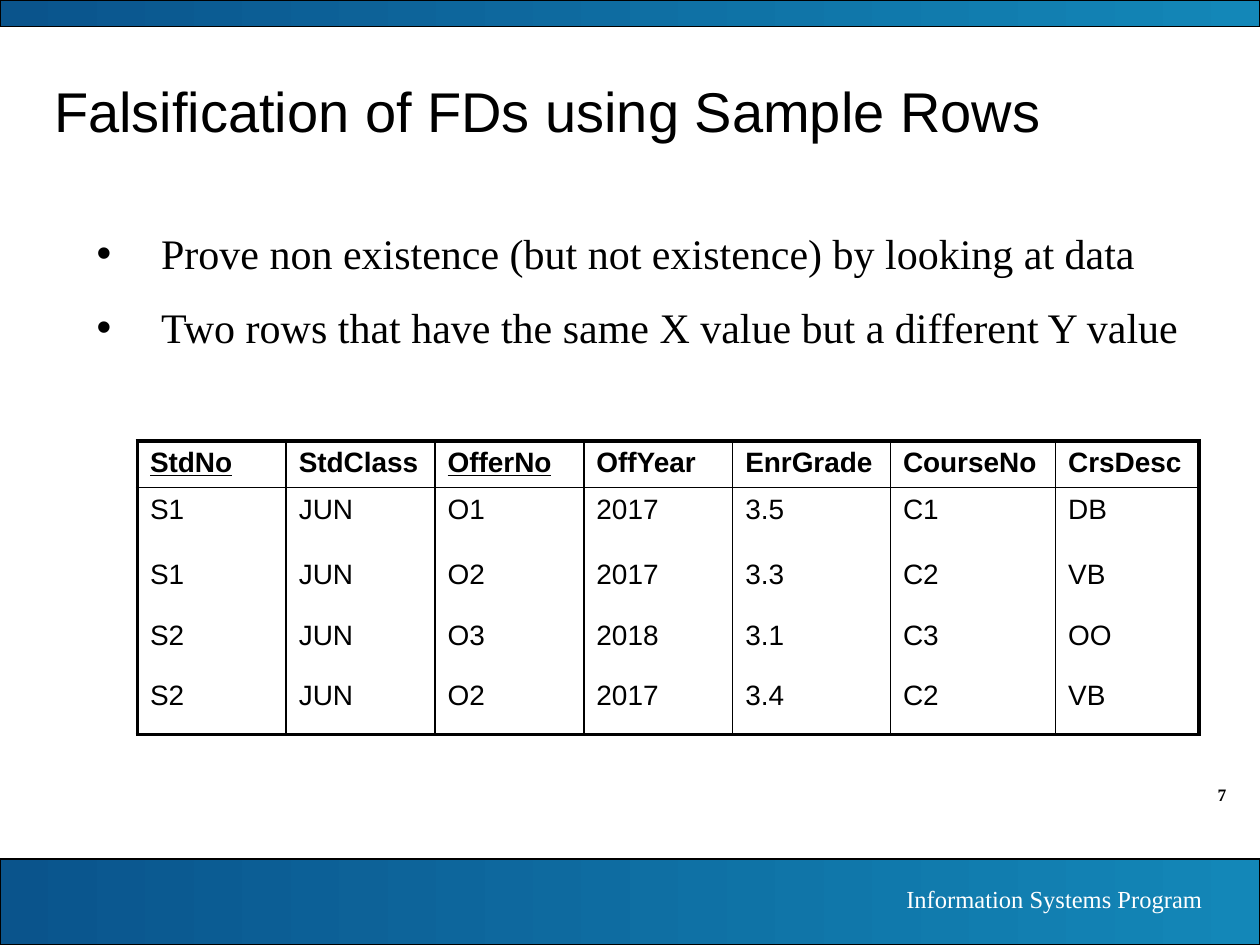
from dataclasses import dataclass

from lxml import etree
from pptx import Presentation
from pptx import util as u
from pptx.dml.color import RGBColor
from pptx.enum import shapes, text
from pptx.oxml.ns import qn

COLOURS = {"ink": "000000", "paper": "FFFFFF", "deep": "0A548C", "bright": "1387B8"}
SERIF, SANS = "Times New Roman", "Arial"
THICK, THIN = 2.25, 1


@dataclass
class Area:
    left: float
    top: float
    width: float
    height: float

    def lengths(self) -> list:
        return [u.Cm(value) for value in (self.left, self.top, self.width, self.height)]


@dataclass
class Style:
    name: str
    size: float
    colour: str = "ink"
    bold: bool = False
    underline: bool = False


@dataclass
class Label:
    area: Area
    lines: list
    style: Style
    align: text.PP_ALIGN = text.PP_ALIGN.LEFT
    bulleted: bool = False


BANDS = [Area(0, 17.32, 25.4, 1.73), Area(0, 0, 25.4, 0.53)]
LABELS = [
    Label(Area(22.86, 15.67, 2.11, 0.69), ["7"], Style(SERIF, 10, bold=True), text.PP_ALIGN.RIGHT),
    Label(Area(14.1, 17.68, 10.39, 0.86), ["Information Systems Program"],
          Style(SERIF, 14, "paper"), text.PP_ALIGN.RIGHT),
    Label(Area(0.84, 1.27, 22.02, 1.9), ["Falsification of FDs using Sample Rows"], Style(SANS, 32)),
    Label(Area(1.7, 4.45, 22.86, 2.79),
          ["Prove non existence (but not existence) by looking at data",
           "Two rows that have the same X value but a different Y value"],
          Style(SERIF, 24), bulleted=True),
]

TABLE_AREA = Area(2.77, 8.89, 21.4, 5.92)
COLUMN_WIDTHS = [3, 3, 3, 3, 3.18, 3.33, 2.89]
ROW_HEIGHTS = [0.94, 1.32, 1.22, 1.22, 1.22]
KEY_COLUMNS = {"StdNo", "OfferNo"}
ROWS = [
    ["StdNo", "StdClass", "OfferNo", "OffYear", "EnrGrade", "CourseNo", "CrsDesc"],
    ["S1", "JUN", "O1", "2017", "3.5", "C1", "DB"],
    ["S1", "JUN", "O2", "2017", "3.3", "C2", "VB"],
    ["S2", "JUN", "O3", "2018", "3.1", "C3", "OO"],
    ["S2", "JUN", "O2", "2017", "3.4", "C2", "VB"],
]


def colour(name: str) -> RGBColor:
    return RGBColor.from_string(COLOURS[name])


def apply(target, values: dict) -> None:
    for name, value in values.items():
        setattr(target, name, value)


def write(para, content: str, style: Style) -> None:
    span = para.add_run()
    span.text = content
    apply(span.font, {"name": style.name, "size": u.Pt(style.size),
                      "bold": style.bold, "underline": style.underline})
    span.font.color.rgb = colour(style.colour)


def add_bullet(para) -> None:
    properties = para._p.get_or_add_pPr()
    indent = u.Cm(1.3)
    properties.set("marL", str(indent))
    properties.set("indent", str(-indent))
    etree.SubElement(properties, qn("a:buFont"), typeface=SANS)
    etree.SubElement(properties, qn("a:buChar"), char="•")


def draw_band(page, area: Area) -> None:
    band = page.shapes.add_shape(shapes.MSO_SHAPE.RECTANGLE, *area.lengths())
    band.shadow.inherit = False
    band.fill.gradient()
    band.fill.gradient_angle = 0
    for stop, name, position in zip(band.fill.gradient_stops, ("deep", "bright"), (0, 1)):
        stop.color.rgb = colour(name)
        stop.position = position
    band.line.color.rgb = colour("ink")
    band.line.width = u.Pt(0.75)


def draw_label(page, label: Label) -> None:
    frame = page.shapes.add_textbox(*label.area.lengths()).text_frame
    apply(frame, {"word_wrap": True, "vertical_anchor": text.MSO_ANCHOR.MIDDLE})
    for index, line in enumerate(label.lines):
        para = frame.add_paragraph() if index else frame.paragraphs[0]
        apply(para, {"alignment": label.align,
                     "space_before": u.Pt(label.style.size * 0.56 if index else 0)})
        if label.bulleted:
            add_bullet(para)
        write(para, line, label.style)


def set_border(cell, side: str, width: float) -> None:
    edge = etree.SubElement(cell._tc.get_or_add_tcPr(), qn(f"a:ln{side}"), w=str(u.Pt(width)))
    if width:
        fill = etree.SubElement(edge, qn("a:solidFill"))
        etree.SubElement(fill, qn("a:srgbClr"), val=COLOURS["ink"])
    else:
        etree.SubElement(edge, qn("a:noFill"))


def draw_table(page) -> None:
    last_row, last_column = len(ROWS) - 1, len(COLUMN_WIDTHS) - 1
    table = page.shapes.add_table(len(ROWS), len(COLUMN_WIDTHS), *TABLE_AREA.lengths()).table
    apply(table, {"first_row": False, "horz_banding": False})
    for column, width in zip(table.columns, COLUMN_WIDTHS):
        column.width = u.Cm(width)
    for row, height in zip(table.rows, ROW_HEIGHTS):
        row.height = u.Cm(height)
    for r, values in enumerate(ROWS):
        for c, value in enumerate(values):
            cell = table.cell(r, c)
            borders = {
                "L": THICK if c == 0 else THIN,
                "R": THICK if c == last_column else THIN,
                "T": {0: THICK, 1: THIN}.get(r, 0),
                "B": {0: THIN, last_row: THICK}.get(r, 0),
            }
            for side, width in borders.items():
                set_border(cell, side, width)
            cell.fill.background()
            style = Style(SANS, 16, bold=r == 0, underline=value in KEY_COLUMNS)
            write(cell.text_frame.paragraphs[0], value, style)


def main() -> None:
    deck = Presentation()
    apply(deck, {"slide_width": u.Cm(25.4), "slide_height": u.Cm(19.05)})
    page = deck.slides.add_slide(deck.slide_layouts[6])
    for area in BANDS:
        draw_band(page, area)
    for label in LABELS:
        draw_label(page, label)
    draw_table(page)
    deck.save("out.pptx")


if __name__ == "__main__":
    main()
